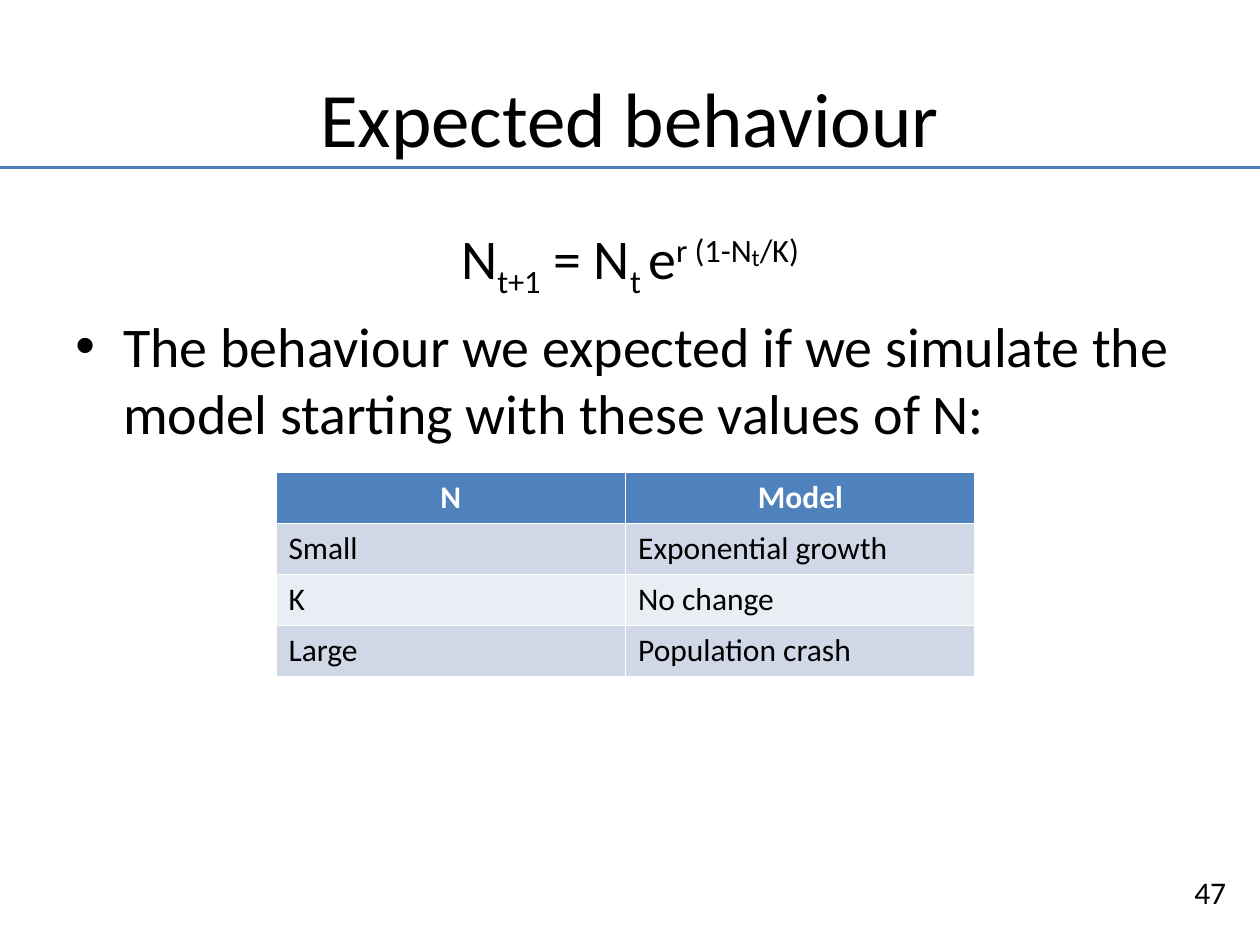
from lxml import etree
from pptx import Presentation
from pptx.dml.color import RGBColor
from pptx.enum.shapes import MSO_CONNECTOR
from pptx.enum.text import MSO_ANCHOR, PP_ALIGN
from pptx.oxml.ns import qn
from pptx.util import Inches, Pt

CENTER, LEFT = PP_ALIGN.CENTER, PP_ALIGN.LEFT
MIDDLE, TOP = MSO_ANCHOR.MIDDLE, MSO_ANCHOR.TOP
STRAIGHT = MSO_CONNECTOR.STRAIGHT
COLORS = {"text": "000000", "rule": "4B7EBC", "header": "4F81BD",
          "header_text": "FFFFFF", "odd": "D0D8E8", "even": "E9EDF4"}

deck = Presentation()
deck.slide_width, deck.slide_height = Inches(10), Inches(7.5)
page = deck.slides.add_slide(deck.slide_layouts[6])
width, height = deck.slide_width, deck.slide_height


def add_box(left, top, across, down, anchor=TOP, wrap=True):
    """Add a text box placed by shares of the slide's size."""
    box = page.shapes.add_textbox(int(width * left), int(height * top),
                                  int(width * across), int(height * down))
    box.text_frame.word_wrap = wrap
    box.text_frame.vertical_anchor = anchor
    return box.text_frame


def add_span(para, text, size, color="text", baseline=0, bold=False):
    """Add one run; baseline is a percentage above or below the line."""
    span = para.add_run()
    span.text = text
    formats = {"name": "Calibri", "size": Pt(size), "bold": bold}
    for name, value in formats.items():
        setattr(span.font, name, value)
    span.font.color.rgb = RGBColor.from_string(COLORS[color])
    if baseline:
        span._r.get_or_add_rPr().set("baseline", str(baseline * 1000))


# Title
title = add_box(0.05, 0.04, 0.9, 1 / 6, MIDDLE).paragraphs[0]
title.alignment = CENTER
add_span(title, "Expected behaviour", 44)

# Body: equation and bullet
body = add_box(0.05, 0.23, 0.9, 0.75)
equation, bullet = body.paragraphs[0], body.add_paragraph()
for para, align in ((equation, CENTER), (bullet, LEFT)):
    para.alignment = align
    para.space_before = Pt(6.4)
    properties = para._p.get_or_add_pPr()
    properties.set("marL", str(Inches(0.38)))
    properties.set("indent", str(-Inches(0.38)))

for text, size, baseline in (
        ("N", 32, 0), ("t+1", 32, -25), (" = N", 32, 0), ("t ", 32, -25),
        ("e", 32, 0), ("r (1-N", 32, 30), ("t", 24, 30), ("/K)", 32, 30)):
    add_span(equation, text, size, baseline=baseline)

properties = bullet._p.get_or_add_pPr()
etree.SubElement(properties, qn("a:buFont")).set("typeface", "Arial")
etree.SubElement(properties, qn("a:buChar")).set("char", "•")
add_span(bullet, "The behaviour we expected if we simulate the model "
                 "starting with these values of N:", 32)

# Rule under the title
rule_top = Inches(1.33)
rule = page.shapes.add_connector(STRAIGHT, 0, rule_top, width, rule_top)
rule.line.color.rgb = RGBColor.from_string(COLORS["rule"])
rule.line.width = Pt(1.75)
etree.SubElement(rule._element.spPr, qn("a:effectLst"))

# Page number
number = add_box(0.938, 0.917, 0.045, 0.054, wrap=False).paragraphs[0]
add_span(number, "47", 18)

# Table of expected behaviour; its default style draws the white borders
rows = (("N", "Model"), ("Small", "Exponential growth"),
        ("K", "No change"), ("Large", "Population crash"))
table = page.shapes.add_table(len(rows), 2, Inches(2.19), height // 2,
                              Inches(5.55), Inches(1.62)).table
for row_index, row in enumerate(rows):
    is_header = row_index == 0
    fill = "header" if is_header else ("even", "odd")[row_index % 2]
    for column_index, text in enumerate(row):
        cell = table.cell(row_index, column_index)
        cell.fill.solid()
        cell.fill.fore_color.rgb = RGBColor.from_string(COLORS[fill])
        para = cell.text_frame.paragraphs[0]
        para.alignment = CENTER if is_header else LEFT
        add_span(para, text, 18, "header_text" if is_header else "text",
                 bold=is_header)

deck.save("out.pptx")
